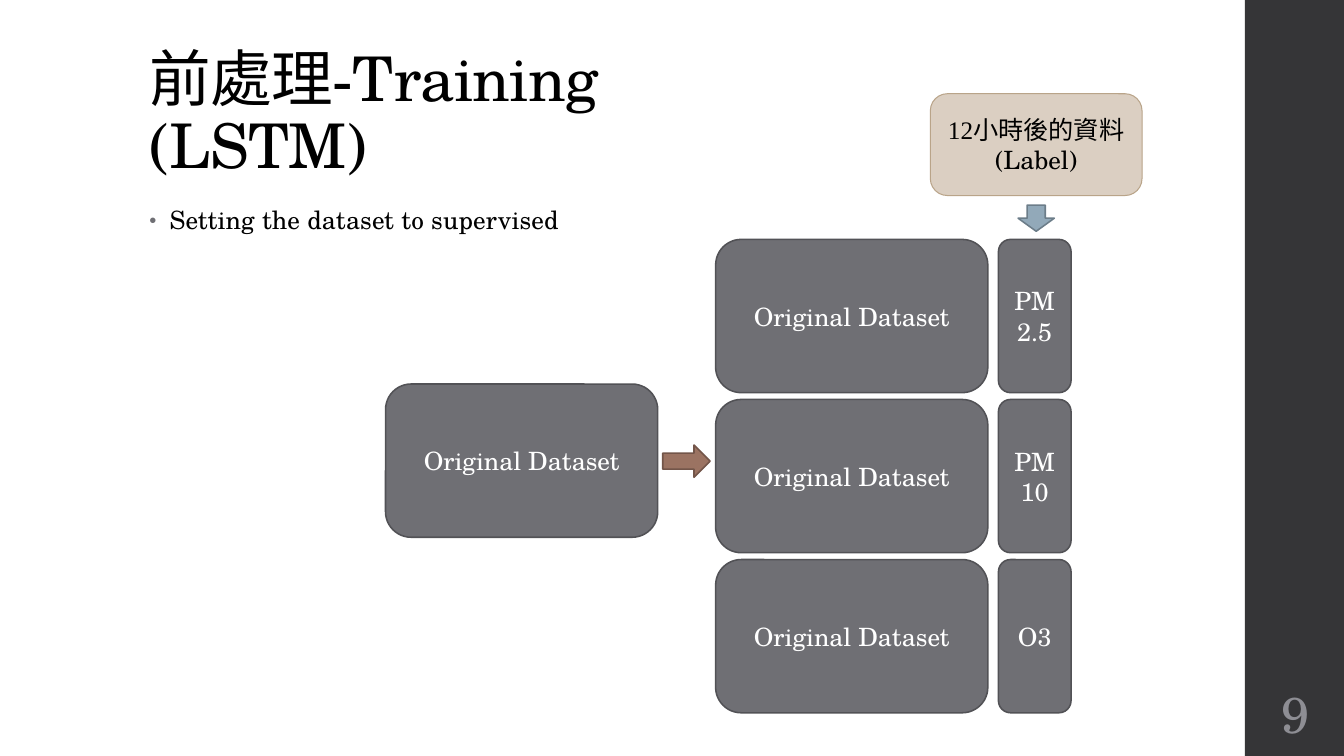
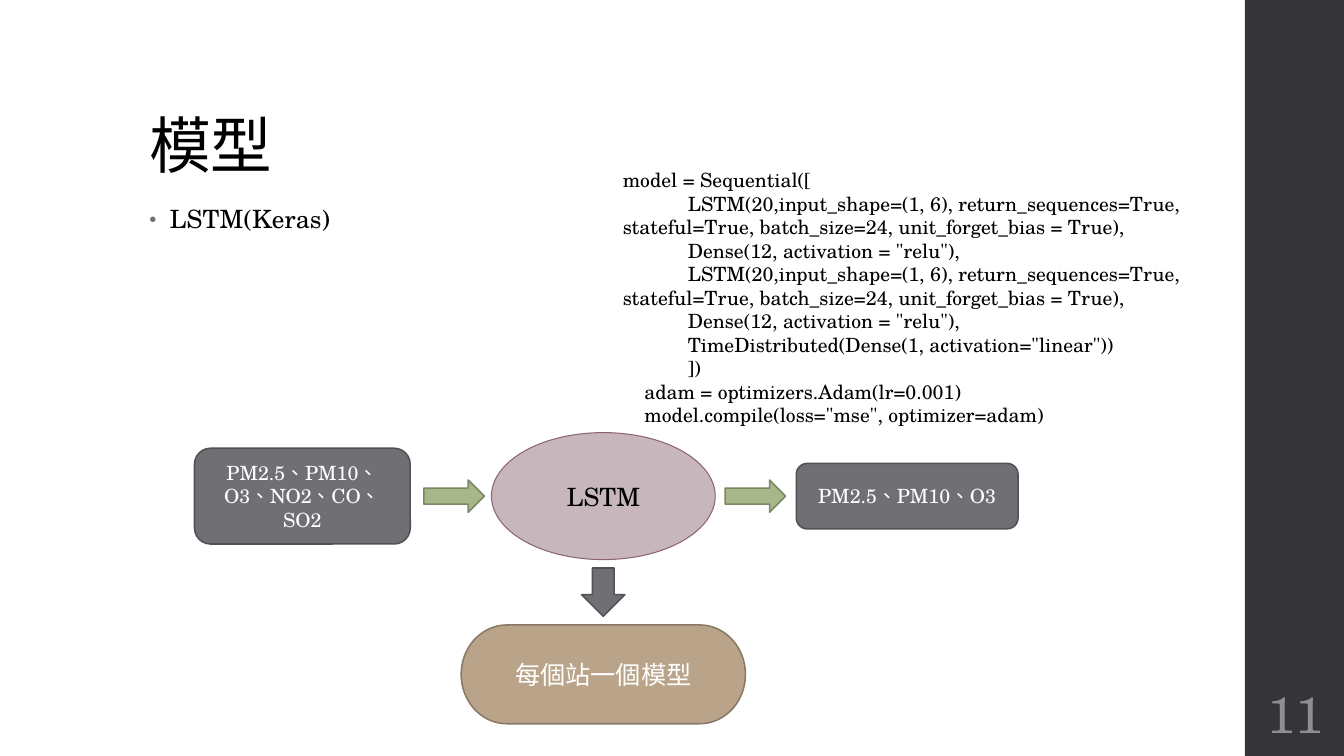
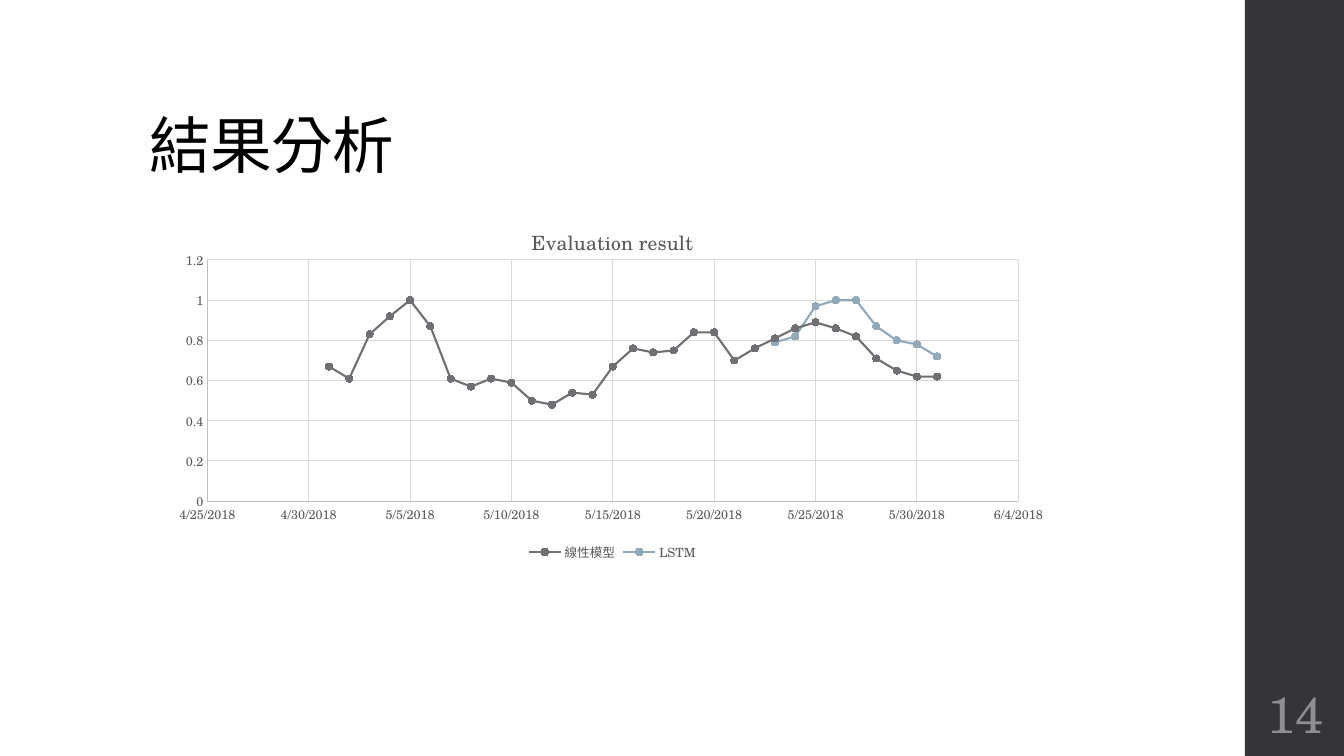
"""Three slides on LSTM preprocessing, the model and its evaluation."""
from lxml.etree import SubElement
from pptx import Presentation
from pptx.chart.data import XyChartData
from pptx.dml.color import RGBColor
from pptx.enum.chart import XL_CHART_TYPE, XL_LEGEND_POSITION, XL_MARKER_STYLE, XL_TICK_MARK
from pptx.enum.shapes import MSO_SHAPE
from pptx.enum.text import MSO_ANCHOR, PP_ALIGN
from pptx.oxml.ns import qn
from pptx.util import Inches, Pt

CELL = Inches(0.1)
COLS, ROWS = 133.33, 75
LEFT, BAND = 13.84, 123.5
LATIN, CJK = "TeX Gyre Schola", "Noto Sans CJK SC"

BLACK = RGBColor(0x00, 0x00, 0x00)
WHITE = RGBColor(0xFF, 0xFF, 0xFF)
DARK = RGBColor(0x35, 0x35, 0x37)
NUMBER = RGBColor(0x8E, 0x8E, 0x94)
GRAY = RGBColor(0x6F, 0x6F, 0x74)
GRAY_EDGE = RGBColor(0x52, 0x52, 0x56)
BROWN = RGBColor(0x9B, 0x73, 0x62)
BROWN_EDGE = RGBColor(0x73, 0x55, 0x49)
BLUE = RGBColor(0x92, 0xA9, 0xB9)
BLUE_EDGE = RGBColor(0x6C, 0x7D, 0x89)
SAND = RGBColor(0xDB, 0xCF, 0xC2)
TAN = RGBColor(0xB9, 0xA4, 0x89)
TAN_EDGE = RGBColor(0x89, 0x79, 0x65)
MAUVE = RGBColor(0xC7, 0xB6, 0xBC)
MAUVE_EDGE = RGBColor(0x8D, 0x63, 0x74)
GREEN = RGBColor(0xA7, 0xB7, 0x89)
GREEN_EDGE = RGBColor(0x7C, 0x87, 0x65)
AXIS_TEXT = RGBColor(0x59, 0x59, 0x59)
AXIS_LINE = RGBColor(0xBF, 0xBF, 0xBF)
GRID_LINE = RGBColor(0xD9, 0xD9, 0xD9)


def write(sp, text, size=18, color=WHITE, align=PP_ALIGN.CENTER, anchor=MSO_ANCHOR.MIDDLE,
          spacing=None, track=0, indent=0, bullet=False):
    tf = sp.text_frame
    tf.word_wrap = True
    tf.vertical_anchor = anchor
    p = tf.paragraphs[0]
    if p.runs:
        p = tf.add_paragraph()
    p.alignment = align
    p.line_spacing = spacing
    pPr = p._p.get_or_add_pPr()
    if indent:
        pPr.set("indent", str(Inches(indent)))
    if bullet:
        p.space_before, p.space_after = Pt(14), Pt(2)
        pPr.set("marL", str(Inches(0.2)))
        pPr.set("indent", str(Inches(-0.2)))
        SubElement(SubElement(pPr, qn("a:buClr")), qn("a:srgbClr")).set("val", str(GRAY))
        SubElement(pPr, qn("a:buSzPct")).set("val", "80000")
        SubElement(pPr, qn("a:buFont")).set("typeface", "Arial")
        SubElement(pPr, qn("a:buChar")).set("char", "•")
    for i, line in enumerate(text.split("\n")):
        if i:
            p.add_line_break()
        r = p.add_run()
        r.text = line
        r.font.size, r.font.name = Pt(size), LATIN
        r.font.color.rgb = color
        rPr = r._r.get_or_add_rPr()
        rPr.set("lang", "zh-TW")
        rPr.set("spc", str(track))
        SubElement(rPr, qn("a:ea")).set("typeface", CJK)
    return p


def box(s, kind, x, y, w, h, fill=GRAY, edge=GRAY_EDGE, weight=1.1):
    place = [int(n * CELL) for n in (x, y, w, h)]
    if kind is None:
        return s.shapes.add_textbox(*place)
    sp = s.shapes.add_shape(kind, *place)
    sp.shadow.inherit = False
    sp.fill.solid()
    sp.fill.fore_color.rgb = fill
    if edge is None:
        sp.line.fill.background()
    else:
        sp.line.color.rgb = edge
        sp.line.width = Pt(weight)
    return sp


prs = Presentation()
prs.slide_width, prs.slide_height = int(COLS * CELL), ROWS * CELL

slides = []
for title, number, point, top in (
    ("前處理-Training\n(LSTM)", "9", "Setting the dataset to supervised", 20),
    ("模型", "11", "LSTM(Keras)", 19.9),
    ("結果分析", "14", None, None),
):
    s = prs.slides.add_slide(prs.slide_layouts[6])
    slides.append(s)
    box(s, MSO_SHAPE.RECTANGLE, BAND, 0, COLS - BAND, ROWS, DARK, None)
    write(box(s, None, LEFT, 4, 106, 14.5), title, size=44, color=BLACK, align=PP_ALIGN.LEFT,
          anchor=MSO_ANCHOR.BOTTOM, spacing=0.9, track=-50)
    if point:
        write(box(s, None, LEFT, top, 94, 47.6), point, color=BLACK, align=PP_ALIGN.LEFT,
              anchor=MSO_ANCHOR.TOP, spacing=0.95, track=10, bullet=True)
    sp = box(s, None, BAND, 67.5, 10, 6.5)
    tf = sp.text_frame
    tf.margin_left = tf.margin_right = tf.margin_top = tf.margin_bottom = Inches(0.05)
    write(sp, number, size=36, color=NUMBER)

prep, model, result = slides

ROUND = MSO_SHAPE.ROUNDED_RECTANGLE
write(box(prep, ROUND, 38.25, 38.1, 27, 15.2), "Original Dataset")
box(prep, MSO_SHAPE.RIGHT_ARROW, 65.75, 44.15, 4.7, 3.2, BROWN, BROWN_EDGE)
for row, target in enumerate(("PM2.5", "PM10", "O3")):
    y = 23.75 + row * 15.88
    write(box(prep, ROUND, 71, y, 27, 15.2), "Original Dataset")
    write(box(prep, ROUND, 99.05, y, 7.2, 15.2), target)
box(prep, MSO_SHAPE.DOWN_ARROW, 101, 20.35, 3.6, 2.6, BLUE, BLUE_EDGE)
sp = box(prep, ROUND, 92.3, 9.3, 21, 10.1, SAND, TAN, 0.75)
p = write(sp, "12小時後的資料", color=BLACK)
p.runs[0].font.name = "Times New Roman"
write(sp, "(Label)", color=BLACK)

LAYER = "LSTM(20,input_shape=(1, 6), return_sequences=True, stateful=True, batch_size=24, unit_forget_bias = True),"
DENSE = 'Dense(12, activation = "relu"),'
sp = box(model, None, 60.8, 16.17, 61.1, 26.9)
for depth, line in (
    (0, "model = Sequential(["),
    (3, LAYER),
    (3, DENSE),
    (3, LAYER),
    (3, DENSE),
    (3, 'TimeDistributed(Dense(1, activation="linear"))'),
    (3, "])"),
    (1, "adam = optimizers.Adam(lr=0.001)"),
    (1, 'model.compile(loss="mse", optimizer=adam)'),
):
    write(sp, line, size=14, color=BLACK, align=PP_ALIGN.LEFT, anchor=MSO_ANCHOR.TOP,
          indent=depth * 0.215)

MID_X, MID_Y = 59.85, 49.22
for kind, x, w, h, colors, text, fmt in (
    (ROUND, 19.3, 21.4, 9.5, (), "PM2.5、PM10、O3、NO2、CO、SO2", {"size": 14}),
    (MSO_SHAPE.RIGHT_ARROW, 42.05, 6, 3.2, (GREEN, GREEN_EDGE), "", {}),
    (MSO_SHAPE.OVAL, MID_X - 11.1, 22.2, 12.6, (MAUVE, MAUVE_EDGE, 0.75), "LSTM",
     {"color": BLACK}),
    (MSO_SHAPE.RIGHT_ARROW, 71.95, 6, 3.2, (GREEN, GREEN_EDGE), "", {}),
    (ROUND, 79, 22, 6.5, (), "PM2.5、PM10、O3", {"size": 14}),
):
    sp = box(model, kind, x, MID_Y - h / 2, w, h, *colors)
    if text:
        write(sp, text, **fmt)
box(model, MSO_SHAPE.DOWN_ARROW, MID_X - 2.15, 56.35, 4.3, 4.8)
sp = box(model, MSO_SHAPE.FLOWCHART_TERMINATOR, MID_X - 14.1, 62, 28.2, 9.8, TAN, TAN_EDGE)
write(sp, "每個站一個模型")

APRIL_25, MAY_1, JUNE_4 = 43215, 43221, 43255
data = XyChartData()
for name, vals in (
    ("線性模型", [0.67, 0.61, 0.83, 0.92, 1, 0.87, 0.61, 0.57, 0.61, 0.59, 0.5, 0.48,
              0.54, 0.53, 0.67, 0.76, 0.74, 0.75, 0.84, 0.84, 0.7, 0.76, 0.81, 0.86,
              0.89, 0.86, 0.82, 0.71, 0.65, 0.62, 0.62]),
    ("LSTM", [None] * 22 + [0.79, 0.82, 0.97, 1, 1, 0.87, 0.8, 0.78, 0.72]),
):
    series = data.add_series(name)
    for day, val in enumerate(vals, MAY_1):
        series.add_data_point(day, val)

CHART_W, CHART_H = 88.7, 35.4
place = [int(n * CELL) for n in (16.4, 20.7, CHART_W, CHART_H)]
chart = result.shapes.add_chart(XL_CHART_TYPE.XY_SCATTER_LINES, *place, data).chart
for v in list(chart._chartSpace.iter(qn("c:v"))):
    if v.text in (None, "", "None"):
        pt = v.getparent()
        pt.getparent().remove(pt)
chart.font.name, chart.font.size = LATIN, Pt(9)
chart.font.color.rgb = AXIS_TEXT
chart.has_title = True
p = chart.chart_title.text_frame.paragraphs[0]
r = p.add_run()
r.text = "Evaluation result"
r.font.name, r.font.size, r.font.bold = LATIN, Pt(14), False
r.font.color.rgb = AXIS_TEXT
chart.chart_title.include_in_layout = False
chart.has_legend = True
chart.legend.position = XL_LEGEND_POSITION.BOTTOM
chart.legend.include_in_layout = False

for axis, low, high, step, form in (
    (chart.category_axis, APRIL_25, JUNE_4, 5, "m/d/yyyy"),
    (chart.value_axis, 0, 1.2, 0.2, "General"),
):
    axis.minimum_scale, axis.maximum_scale, axis.major_unit = low, high, step
    axis.major_tick_mark = axis.minor_tick_mark = XL_TICK_MARK.NONE
    axis.tick_labels.number_format = form
    axis.tick_labels.number_format_is_linked = False
    axis.has_major_gridlines = True
    for line, color in ((axis.format.line, AXIS_LINE),
                        (axis.major_gridlines.format.line, GRID_LINE)):
        line.color.rgb = color
        line.width = Pt(0.75)

plot = chart.plots[0]
plot.vary_by_categories = False
for series, color in zip(plot.series, (GRAY, BLUE)):
    series.smooth = False
    series.format.line.color.rgb = color
    series.format.line.width = Pt(1.5)
    series.marker.style, series.marker.size = XL_MARKER_STYLE.CIRCLE, 5
    series.marker.format.fill.solid()
    series.marker.format.fill.fore_color.rgb = color
    series.marker.format.line.color.rgb = color

area = chart._chartSpace.chart.plotArea
for old in area.findall(qn("c:layout")):
    area.remove(old)
layout = SubElement(area, qn("c:layout"))
area.insert(0, layout)
manual = SubElement(layout, qn("c:manualLayout"))
for tag, val in (("layoutTarget", "inner"), ("xMode", "edge"), ("yMode", "edge"),
                 ("x", 4.17 / CHART_W), ("y", 5.1 / CHART_H),
                 ("w", 80.45 / CHART_W), ("h", 23.93 / CHART_H)):
    SubElement(manual, qn(f"c:{tag}")).set("val", str(val))

prs.save("out.pptx")
